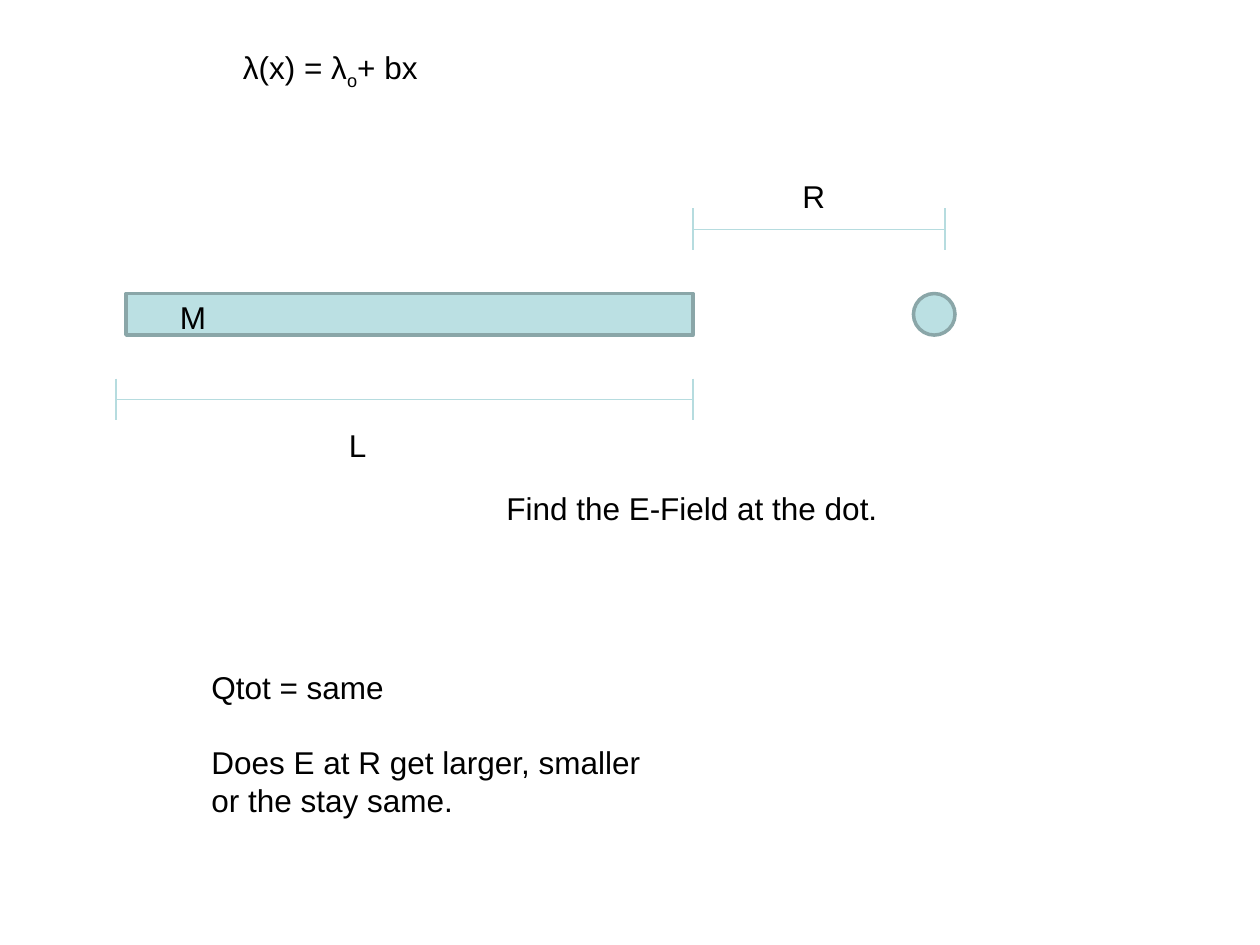
from dataclasses import dataclass

from lxml import etree
from pptx import Presentation
from pptx.dml.color import RGBColor
from pptx.enum.shapes import MSO_CONNECTOR, MSO_SHAPE
from pptx.enum.text import MSO_AUTO_SIZE
from pptx.oxml.ns import qn
from pptx.util import Inches, Pt

LINE = MSO_CONNECTOR.STRAIGHT
RECT, OVAL = MSO_SHAPE.RECTANGLE, MSO_SHAPE.OVAL
GROW = MSO_AUTO_SIZE.SHAPE_TO_FIT_TEXT
COLORS = {"fill": "BBE0E3", "edge": "8AA6A8", "dim": "B6DCDF", "text": "000000"}
FONT, SIZE = "Arial", 18
TICK = 0.33  # height of the end marks of a dimension line


@dataclass
class Body:
    kind: MSO_SHAPE
    left: float
    top: float
    width: float
    height: float


@dataclass
class Span:
    """A horizontal dimension line with a tick at each end."""
    start: float
    stop: float
    mid: float


@dataclass
class Run:
    text: str
    base: int = 0  # baseline shift in percent


@dataclass
class Label:
    left: float
    top: float
    width: float
    height: float
    paras: list[list[Run]]
    wrap: bool = True


BODIES = [Body(RECT, 1, 2.33, 4.5, 0.33), Body(OVAL, 7.25, 2.33, 0.33, 0.33)]
SPANS = [Span(0.92, 5.5, 3.17), Span(5.5, 7.5, 1.82)]
LABELS = [
    Label(2.67, 3.33, 1, 0.4, [[Run("L")]]),
    Label(1.33, 2.32, 1, 0.4, [[Run("M")]]),
    Label(6.27, 1.36, 1, 0.4, [[Run("R")]]),
    Label(3.92, 3.83, 3.92, 0.4, [[Run("Find the E-Field at the dot.")]]),
    Label(1.83, 0.33, 1.64, 0.4,
          [[Run("λ(x) = λ"), Run("o", -25), Run("+ bx")]], wrap=False),
    Label(1.58, 5.25, 3.83, 1.31,
          [[Run("Qtot = same")],
           [Run("Does E at R get larger, smaller or the stay same.")]]),
]


def color(name: str) -> RGBColor:
    return RGBColor.from_string(COLORS[name])


def add_body(slide, body: Body) -> None:
    shape = slide.shapes.add_shape(
        body.kind, Inches(body.left), Inches(body.top),
        Inches(body.width), Inches(body.height))
    shape.shadow.inherit = False
    shape.fill.solid()
    shape.fill.fore_color.rgb = color("fill")
    shape.line.color.rgb = color("edge")
    shape.line.width = Pt(2)


def add_line(group, x1: float, y1: float, x2: float, y2: float) -> None:
    line = group.shapes.add_connector(
        LINE, Inches(x1), Inches(y1), Inches(x2), Inches(y2))
    line.line.color.rgb = color("dim")
    line.line.width = Pt(0.75)
    etree.SubElement(line._element.spPr, qn("a:effectLst"))


def add_span(slide, span: Span) -> None:
    group = slide.shapes.add_group_shape()
    add_line(group, span.start, span.mid, span.stop, span.mid)
    for x in (span.start, span.stop):
        add_line(group, x, span.mid - TICK / 2, x, span.mid + TICK / 2)


def add_label(slide, label: Label) -> None:
    box = slide.shapes.add_textbox(
        Inches(label.left), Inches(label.top),
        Inches(label.width), Inches(label.height))
    frame = box.text_frame
    frame.word_wrap = label.wrap
    frame.auto_size = GROW
    for i, runs in enumerate(label.paras):
        para = frame.add_paragraph() if i else frame.paragraphs[0]
        if i:
            para.space_before = Pt(21.5)
        for part in runs:
            run = para.add_run()
            run.text = part.text
            run.font.name = FONT
            run.font.size = Pt(SIZE)
            run.font.color.rgb = color("text")
            if part.base:
                run.font._element.set("baseline", str(part.base * 1000))


def main() -> None:
    deck = Presentation()
    deck.slide_width, deck.slide_height = Inches(10), Inches(7.5)
    slide = deck.slides.add_slide(deck.slide_layouts[6])
    for body in BODIES:
        add_body(slide, body)
    for span in SPANS:
        add_span(slide, span)
    for label in LABELS:
        add_label(slide, label)
    deck.save("out.pptx")


if __name__ == "__main__":
    main()
